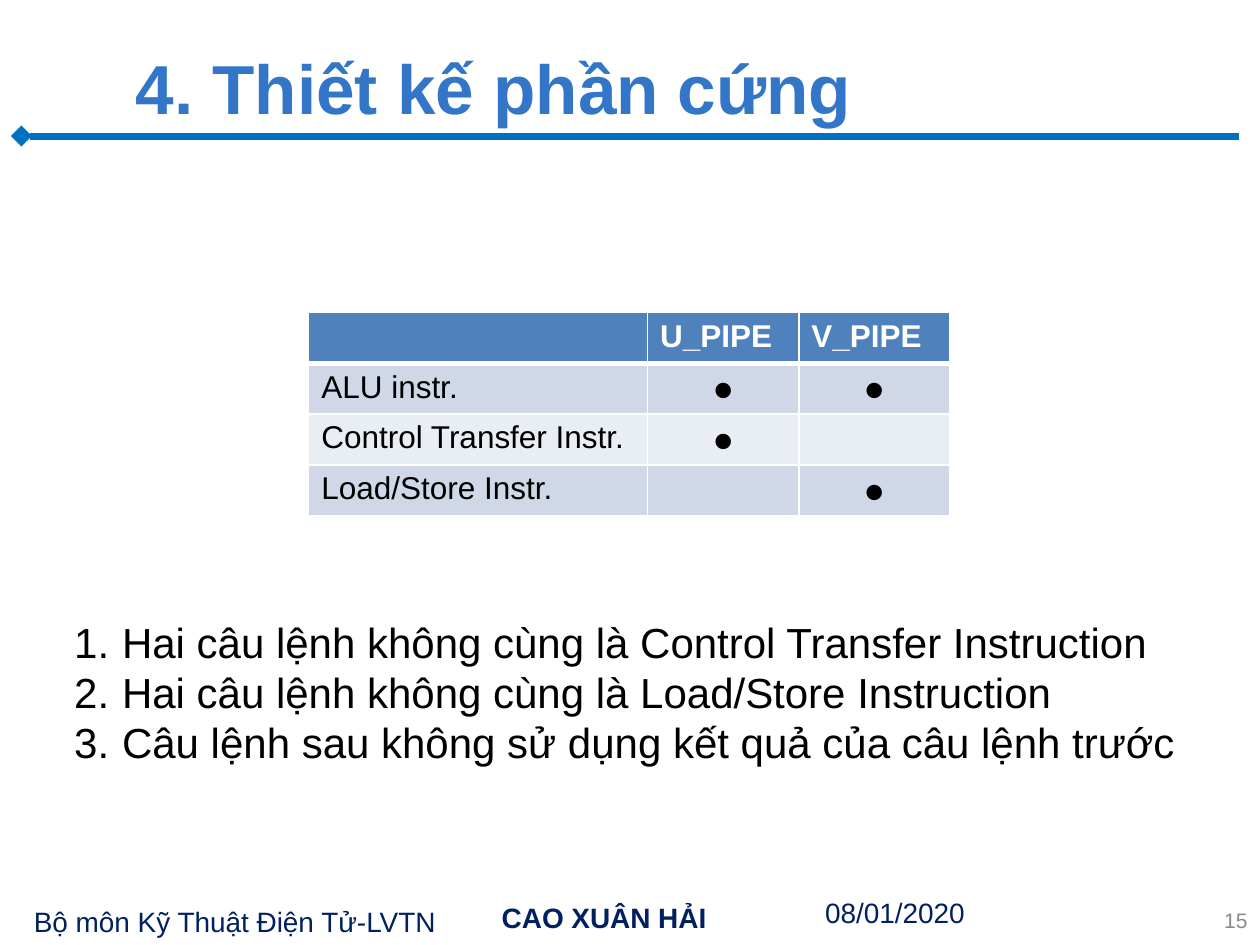
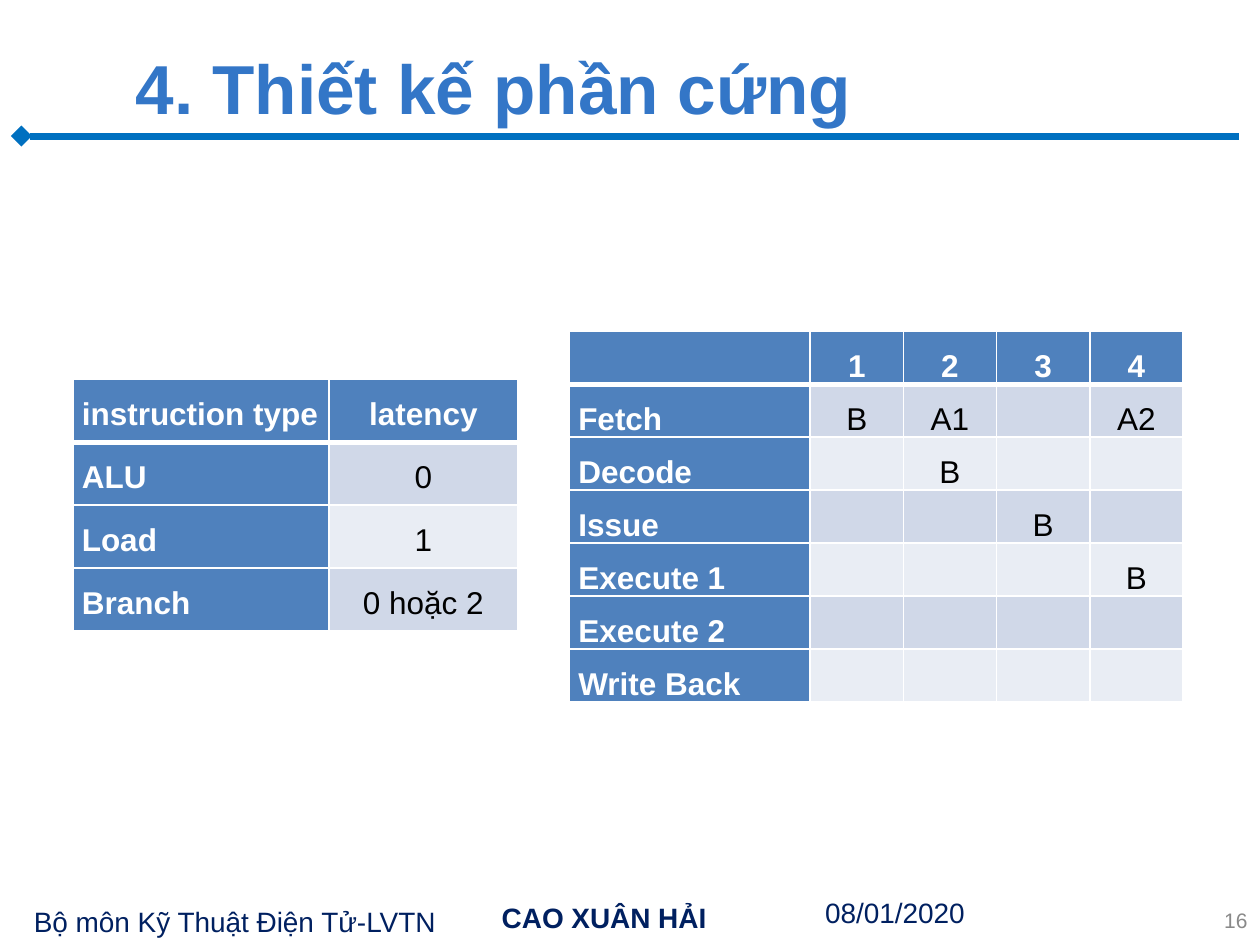
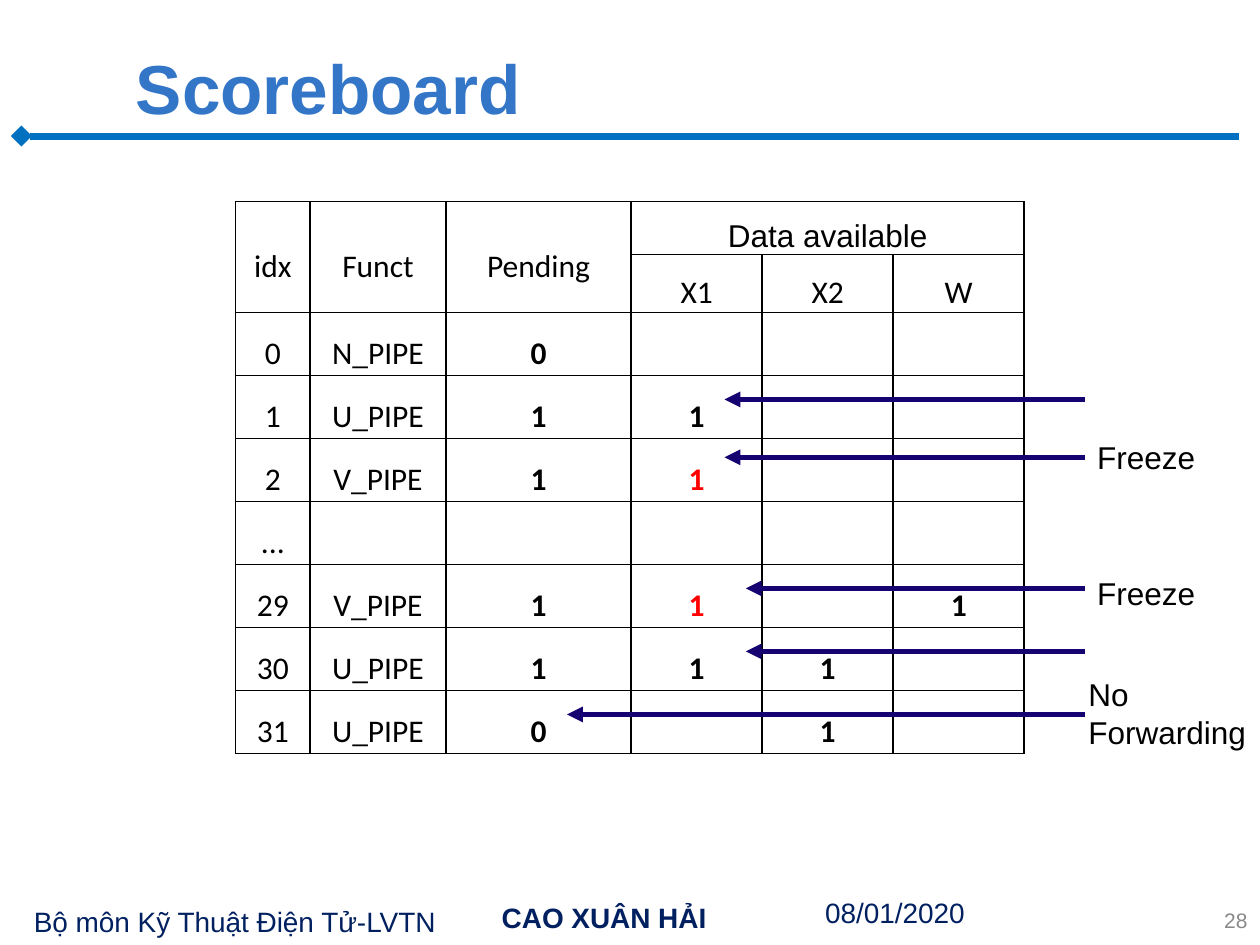
from lxml.etree import SubElement
from pptx import Presentation
from pptx.dml.color import RGBColor
from pptx.enum.shapes import MSO_CONNECTOR as Link
from pptx.enum.text import MSO_ANCHOR as Anchor, MSO_AUTO_SIZE as Auto, PP_ALIGN as Align
from pptx.oxml.ns import qn
from pptx.util import Inches, Pt

WHITE, BLACK, RED = "FFFFFF", "000000", "FF0000"
HEAD, BANDS = "4F81BD", ("D0D8E8", "E9EDF4")
TITLE, RULE, NAVY, GREY, ARROW = "3376C7", "0070C0", "002060", "898989", "170272"

# text, box, alignment, bold
FOOTERS = [
    ("CAO XUÂN HẢI", (3.78, 7.1, 2.03, 0.37), Align.CENTER, True),
    ("Bộ môn Kỹ Thuật Điện Tử-LVTN", (0.17, 7.13, 3.42, 0.37), Align.LEFT, False),
    ("08/01/2020", (6.45, 7.06, 3, 0.37), Align.LEFT, False),
]

DOT = "●"
PIPES = [
    ("", "U_PIPE", "V_PIPE"),
    ("ALU instr.", DOT, DOT),
    ("Control Transfer Instr.", DOT, ""),
    ("Load/Store Instr.", "", DOT),
]
RULES = [
    "Hai câu lệnh không cùng là Control Transfer Instruction",
    "Hai câu lệnh không cùng là Load/Store Instruction",
    "Câu lệnh sau không sử dụng kết quả của câu lệnh trước",
]
LATENCY = [
    ("instruction type", "latency"),
    ("ALU", "0"),
    ("Load", "1"),
    ("Branch", "0 hoặc 2"),
]
STAGES = [
    ("", "1", "2", "3", "4"),
    ("Fetch", "B", "A1", "", "A2"),
    ("Decode", "", "B", "", ""),
    ("Issue", "", "", "B", ""),
    ("Execute 1", "", "", "", "B"),
    ("Execute 2", "", "", "", ""),
    ("Write Back", "", "", "", ""),
]
SCORES = [
    ("idx", "Funct", "Pending", "Data available", "", ""),
    ("", "", "", "X1", "X2", "W"),
    ("0", "N_PIPE", "0", "", "", ""),
    ("1", "U_PIPE", "1", "1", "", ""),
    ("2", "V_PIPE", "1", "1", "", ""),
    ("...", "", "", "", "", ""),
    ("29", "V_PIPE", "1", "1", "", "1"),
    ("30", "U_PIPE", "1", "1", "1", ""),
    ("31", "U_PIPE", "0", "", "1", ""),
]
MERGES = [(0, 0, 1, 0), (0, 1, 1, 1), (0, 2, 1, 2), (0, 3, 0, 5)]
FROZEN = [(4, 3), (6, 3)]
TIPS = [(5.75, 3.17), (5.75, 3.63), (5.92, 4.67), (5.92, 5.17), (4.5, 5.67)]
NOTES = [
    (["Freeze"], (8.61, 3.43, 0.99, 0.4)),
    (["Freeze"], (8.61, 4.51, 0.99, 0.4)),
    (["No", "Forwarding"], (8.54, 5.31, 1.46, 0.71)),
]


def rgb(code):
    return RGBColor.from_string(code)


def write(para, text, size, color, bold=False, align=Align.LEFT, face="Arial"):
    para.alignment = align
    run = para.add_run()
    run.text = text
    font = run.font
    font.name, font.size, font.bold = face, Pt(size), bold
    font.color.rgb = rgb(color)


def number(para):
    """Turn a paragraph into an item of a numbered list."""
    props = para._p.get_or_add_pPr()
    props.set("marL", str(Inches(0.38)))
    props.set("indent", str(-Inches(0.38)))
    SubElement(props, qn("a:buFont"), typeface="+mj-lt")
    SubElement(props, qn("a:buAutoNum"), type="arabicPeriod")


def label(slide, lines, box, size, color, wrap=True, listed=False,
          anchor=Anchor.TOP, **style):
    frame = slide.shapes.add_textbox(*map(Inches, box)).text_frame
    frame.word_wrap = wrap
    frame.auto_size = Auto.NONE if wrap else Auto.SHAPE_TO_FIT_TEXT
    frame.vertical_anchor = anchor
    for i, line in enumerate(lines):
        para = frame.add_paragraph() if i else frame.paragraphs[0]
        if listed:
            number(para)
        write(para, line, size, color, **style)


def link(slide, start, end, color, width, tag, kind):
    """Draw a line whose headEnd or tailEnd (tag) has the given shape."""
    line = slide.shapes.add_connector(Link.STRAIGHT, *map(Inches, start + end))
    line.line.color.rgb = rgb(color)
    line.line.width = Pt(width)
    SubElement(line.line._get_or_add_ln(), qn("a:" + tag), type=kind)
    SubElement(line._element.spPr, qn("a:effectLst"))


def edge(cell, side, color, width):
    line = SubElement(cell._tc.get_or_add_tcPr(), qn("a:ln" + side), w=str(Pt(width)))
    fill = SubElement(line, qn("a:solidFill"))
    SubElement(fill, qn("a:srgbClr"), val=color)


def grid(slide, x, y, widths, heights, rows, look, line=WHITE, thick=3,
         inset=(0.07, 0), space=1.5, anchor=Anchor.TOP, merges=()):
    """Add a table; look(row, col, text) gives each cell's fill and text style."""
    shape = slide.shapes.add_table(
        len(rows), len(widths), Inches(x), Inches(y),
        Inches(sum(widths)), Inches(sum(heights)))
    table = shape.table
    table.first_row = table.horz_banding = False
    for col, width in zip(table.columns, widths):
        col.width = Inches(width)
    for row, height in zip(table.rows, heights):
        row.height = Inches(height)
    for top, left, low, right in merges:
        table.cell(top, left).merge(table.cell(low, right))
    side, rim = map(Inches, inset)
    for r, row in enumerate(rows):
        for c, text in enumerate(row):
            cell = table.cell(r, c)
            cell.margin_left = cell.margin_right = side
            cell.margin_top = cell.margin_bottom = rim
            cell.vertical_anchor = anchor
            for name in "LRTB":
                heavy = (r, name) in ((0, "B"), (1, "T"))
                edge(cell, name, line, thick if heavy else 1)
            fill, style = look(r, c, text)
            if fill:
                cell.fill.solid()
                cell.fill.fore_color.rgb = rgb(fill)
            else:
                cell.fill.background()
            if text:
                para = cell.text_frame.paragraphs[0]
                para.line_spacing = space
                write(para, text, 18, **style)


def banded(head, r):
    """Fill and text style of a cell in a blue banded table."""
    fill = HEAD if head else BANDS[(r - 1) % 2]
    return fill, dict(color=WHITE if head else BLACK, bold=head)


def pipe_look(r, c, text):
    fill, style = banded(r == 0, r)
    if text == DOT:
        style.update(align=Align.CENTER, face="Lato")
    return fill, style


def stage_look(r, c, text):
    fill, style = banded(r == 0 or c == 0, r)
    return fill, dict(style, align=Align.CENTER if c else Align.JUSTIFY)


def score_look(r, c, text):
    return None, dict(
        color=RED if (r, c) in FROZEN else BLACK,
        bold=r > 1 and c > 1, align=Align.CENTER,
        face="Arial" if (r, c) == (0, 3) else "Calibri")


def page(deck, title, num):
    slide = deck.slides.add_slide(deck.slide_layouts[6])
    link(slide, (0.17, 1.08), (9.83, 1.08), RULE, 4, "headEnd", "diamond")
    for text, box, align, bold in FOOTERS:
        label(slide, [text], box, 16, NAVY, align=align, bold=bold)
    label(slide, [title], (0.98, 0.32, 9.02, 0.74), 39.6, TITLE,
          bold=True, anchor=Anchor.MIDDLE)
    label(slide, [str(num)], (7.67, 7.1, 2.33, 0.4), 12, GREY,
          align=Align.RIGHT, anchor=Anchor.MIDDLE)
    return slide


def main():
    deck = Presentation()
    deck.slide_width, deck.slide_height = Inches(10), Inches(7.5)

    slide = page(deck, "4. Thiết kế phần cứng", 15)
    grid(slide, 2.45, 2.48, [2.69, 1.2, 1.2], [0.4] * 4, PIPES, pipe_look,
         inset=(0.1, 0.05), space=None)
    label(slide, RULES, (0.49, 4.84, 9.02, 1.31), 24, BLACK, wrap=False, listed=True)

    slide = page(deck, "4. Thiết kế phần cứng", 16)
    grid(slide, 0.58, 3.01, [2.03, 1.5], [0.5] * 4, LATENCY, stage_look)
    grid(slide, 4.52, 2.63, [1.91] + [0.74] * 4, [0.42] * 7, STAGES, stage_look)

    slide = page(deck, "Scoreboard", 28)
    grid(slide, 1.87, 1.6, [0.59, 1.08, 1.47] + [1.04] * 3, [0.42, 0.46] + [0.5] * 7,
         SCORES, score_look, line=BLACK, thick=1, anchor=Anchor.MIDDLE, merges=MERGES)
    for x, y in TIPS:
        link(slide, (8.61, y), (x, y), ARROW, 3, "tailEnd", "triangle")
    for lines, box in NOTES:
        label(slide, lines, box, 18, BLACK, wrap=False)

    deck.save("out.pptx")


if __name__ == "__main__":
    main()
